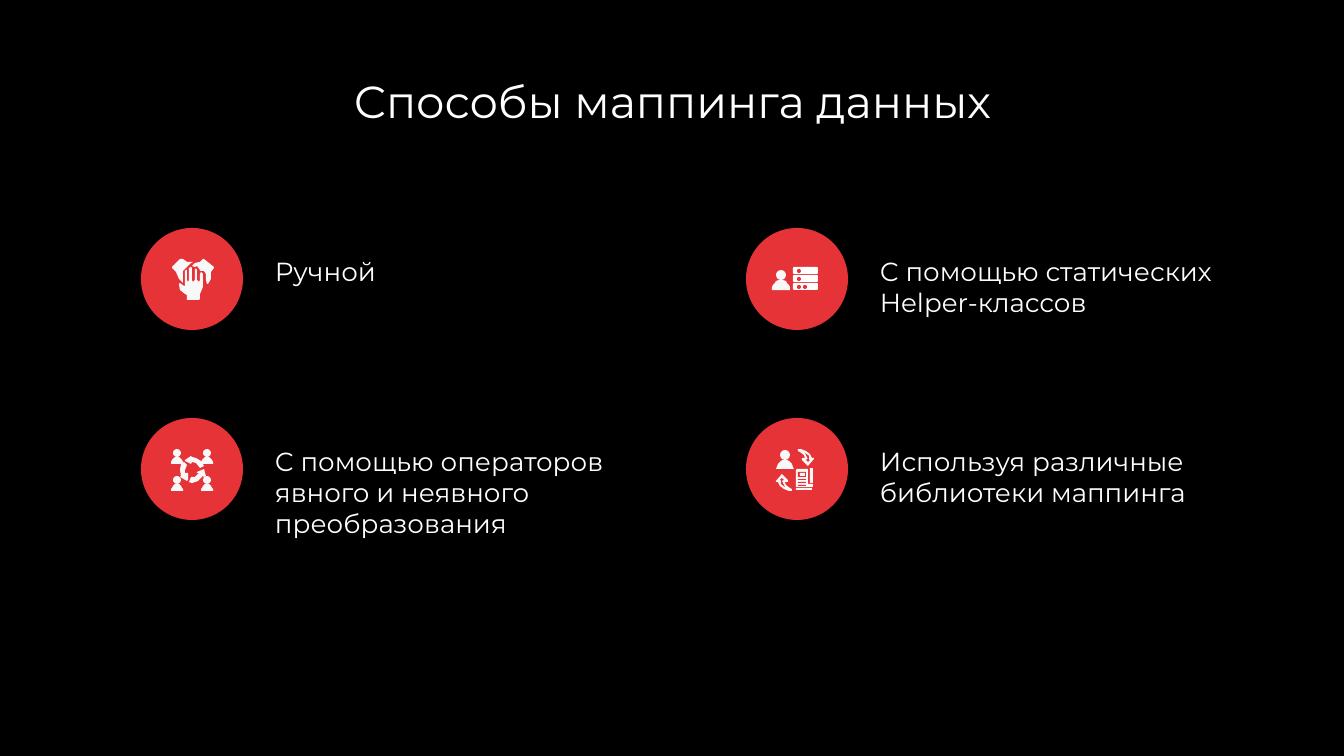
import math

import pptx
import pptx.dml.color
import pptx.enum.shapes
import pptx.enum.text
import pptx.util

PX = 914400 / 134.4  # EMU in one px
COLORS = {"black": "000000", "white": "FFFFFF", "icon": "F8F8F8", "red": "E63338"}
FONT = "Montserrat"
SHAPES = pptx.enum.shapes.MSO_SHAPE


def emu(length):
    return pptx.util.Emu(round(length * PX))


def color(name):
    return pptx.dml.color.RGBColor.from_string(COLORS[name])


def write_text(shape, text, *, size=14, align="LEFT"):
    frame = shape.text_frame
    frame.text = text
    frame.word_wrap = True
    frame.auto_size = pptx.enum.text.MSO_AUTO_SIZE.NONE
    frame.vertical_anchor = pptx.enum.text.MSO_ANCHOR.TOP
    frame.margin_left = frame.margin_right = emu(10)
    frame.margin_top = frame.margin_bottom = emu(5)
    paragraph = frame.paragraphs[0]
    paragraph.alignment = pptx.enum.text.PP_ALIGN[align]
    paragraph.line_spacing = 1.0
    font = paragraph.runs[0].font
    font.name, font.size = FONT, pptx.util.Pt(size)
    font.color.rgb = color("white")


class Canvas:
    """Draws on one slide, in px measured from a movable origin."""

    def __init__(self, slide):
        self.slide = slide
        self.origin = (0, 0)
        slide.background.fill.solid()
        slide.background.fill.fore_color.rgb = color("black")

    def place(self, x, y, width, height):
        left, top = self.origin
        return emu(left + x), emu(top + y), emu(width), emu(height)

    def paint(self, shape, fill):
        shape.shadow.inherit = False
        shape.fill.solid()
        shape.fill.fore_color.rgb = color(fill)
        shape.line.fill.background()

    def title(self, text, *box):
        shape = self.slide.shapes.title
        shape.left, shape.top, shape.width, shape.height = self.place(*box)
        write_text(shape, text, size=24, align="CENTER")

    def text(self, text, *box):
        write_text(self.slide.shapes.add_textbox(*self.place(*box)), text)

    def shape(self, kind, *box, fill="icon"):
        shape = self.slide.shapes.add_shape(kind, *self.place(*box))
        self.paint(shape, fill)

    def outline(self, points, fill="icon"):
        builder = self.slide.shapes.build_freeform(*points[0], scale=PX)
        builder.add_line_segments(points[1:], close=True)
        self.paint(builder.convert_to_shape(*map(emu, self.origin)), fill)

    def person(self, center, top, head, width, height):
        self.shape(SHAPES.OVAL, center - head / 2, top, head, head)
        base = top + head + height
        angles = [math.pi * step / 12 for step in range(13)]
        self.outline([(center + width / 2 * math.cos(angle),
                       base - height * math.sin(angle)) for angle in angles])


# Icon outlines, in px from the corner of the red circle
LEFT_HAND = [(42, 55), (42, 43), (46, 39), (50, 35), (52, 34), (46, 34), (42, 31), (39, 31),
             (31, 39), (31, 40), (35, 44), (38, 51)]
RIGHT_HAND = [(73, 40), (73, 39), (63, 31), (62, 31), (59, 34), (54, 35), (51, 38), (54, 39),
              (56, 38), (59, 42), (59, 43), (63, 43), (65, 46), (65, 52), (66, 56), (67, 56),
              (70, 51), (70, 44)]
FRONT_HAND = [(60, 44), (59, 46), (59, 52), (58, 54), (56, 52), (56, 42), (55, 40), (54, 42),
              (54, 52), (52, 54), (51, 52), (51, 40), (50, 39), (48, 40), (48, 52), (47, 54),
              (46, 52), (46, 42), (45, 42), (44, 43), (44, 58), (43, 58), (39, 55), (38, 56),
              (39, 62), (44, 66), (46, 67), (46, 72), (58, 72), (59, 71), (59, 66), (62, 59),
              (62, 46)]
CYCLE_ARROWS = [
    [(63, 59), (65, 58), (63, 51), (56, 54), (56, 55), (58, 55), (56, 57), (54, 59),
     (50, 59), (48, 64), (51, 65), (57, 63), (62, 58)],
    [(47, 55), (44, 55), (44, 52), (46, 47), (43, 44), (40, 46), (39, 52), (40, 58),
     (39, 59), (46, 63), (47, 62)],
    [(44, 43), (50, 46), (51, 44), (55, 45), (59, 50), (63, 48), (62, 46), (60, 43),
     (55, 40), (51, 39), (50, 38), (44, 42)],
]
CURVED_ARROW = [(52, 31), (55, 31), (60, 33), (64, 36), (66, 40), (68, 40), (68, 41), (62, 48),
                (56, 42), (56, 40), (59, 40), (58, 37), (54, 34), (52, 33)]
ARROW_HOLE = [(62, 44), (60, 42), (62, 41), (59, 35), (63, 38), (63, 42), (64, 42)]
PAGE = [(50, 52), (51, 51), (62, 51), (62, 66), (67, 66), (67, 69), (50, 69)]


def draw_hands(canvas):
    for points in (LEFT_HAND, RIGHT_HAND, FRONT_HAND):
        canvas.outline(points)


def draw_servers(canvas):
    canvas.person(35, 42, 10, 18, 10)
    for top, dots in ((39, 1), (47, 1), (55, 2)):
        canvas.shape(SHAPES.ROUNDED_RECTANGLE, 47, top, 25, 7, fill="white")
        for dot in range(dots):
            canvas.shape(SHAPES.OVAL, 51 + 6 * dot, top + 2, 4, 4, fill="red")


def draw_people_cycle(canvas):
    for top in (31, 58):
        for center in (36, 66):
            canvas.person(center, top, 8, 12, 7)
    for points in CYCLE_ARROWS:
        canvas.outline(points)


def draw_exchange(canvas):
    canvas.person(39, 32, 10, 17, 9)
    for points, fill in ((CURVED_ARROW, "icon"), (ARROW_HOLE, "red")):
        canvas.outline(points, fill)
        canvas.outline([(98 - x, 104 - y) for x, y in points], fill)
    # Newspaper: page, framed block, text lines, side and bottom strips
    canvas.outline(PAGE)
    canvas.shape(SHAPES.RECTANGLE, 52, 54, 8, 5, fill="red")
    canvas.shape(SHAPES.RECTANGLE, 54, 55, 5, 3)
    for top in (61, 64, 67):
        canvas.shape(SHAPES.RECTANGLE, 52, top, 8, 1, fill="red")
    canvas.shape(SHAPES.RECTANGLE, 64, 50, 3, 15)
    canvas.shape(SHAPES.RECTANGLE, 50, 70, 16, 2)


METHODS = [
    ("Ручной", 113, draw_hands),
    ("С помощью статических Helper-классов", 125, draw_servers),
    ("С помощью операторов явного и неявного преобразования", 145, draw_people_cycle),
    ("Используя различные библиотеки маппинга", 125, draw_exchange),
]


def main():
    presentation = pptx.Presentation()
    presentation.slide_width, presentation.slide_height = emu(1344), emu(756)
    canvas = Canvas(presentation.slides.add_slide(presentation.slide_layouts[5]))
    canvas.title("Способы маппинга данных", 180, 69, 985, 125)

    # Two by two grid of mapping methods
    for index, (text, height, draw_icon) in enumerate(METHODS):
        row, column = divmod(index, 2)
        canvas.origin = (141 + 605 * column, 228 + 190 * row)
        canvas.shape(SHAPES.OVAL, 0, 0, 102, 102, fill="red")
        draw_icon(canvas)
        canvas.text(text, 124, 22, 387, height)

    presentation.save("out.pptx")


if __name__ == "__main__":
    main()
